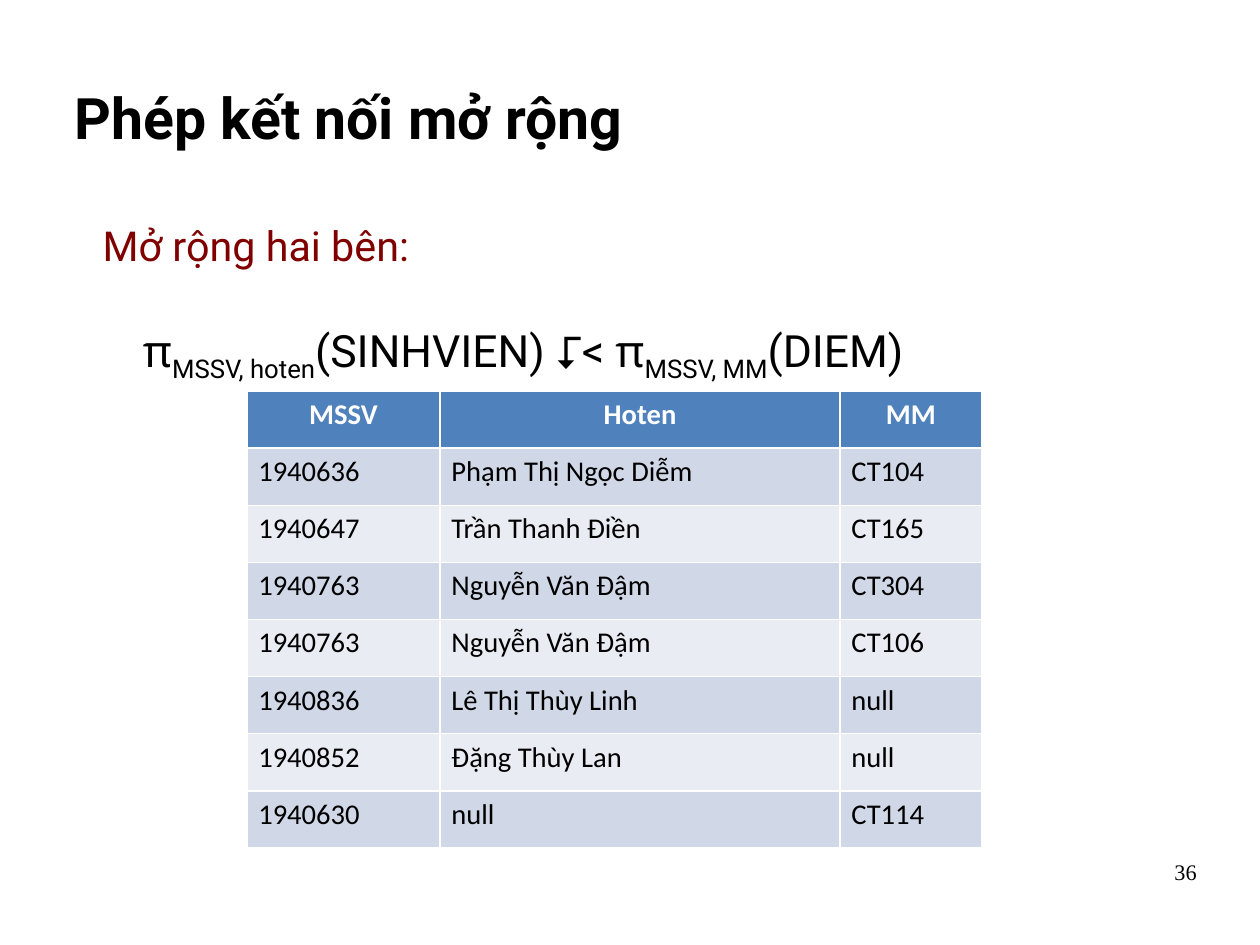
from lxml import etree
from pptx import Presentation
from pptx.dml.color import RGBColor
from pptx.enum.text import MSO_ANCHOR, PP_ALIGN
from pptx.oxml.ns import qn
from pptx.util import Cm, Inches, Pt

LEFT, CENTER, RIGHT = PP_ALIGN.LEFT, PP_ALIGN.CENTER, PP_ALIGN.RIGHT
TOP, MIDDLE = MSO_ANCHOR.TOP, MSO_ANCHOR.MIDDLE

BLACK, WHITE, MAROON = "000000", "FFFFFF", "800000"
HEAD, BANDS = "4F81BD", ("D0D8E7", "E9ECF3")
SIDES = ("a:lnL", "a:lnR", "a:lnT", "a:lnB")
PAD = (0.1, 0.05, 0.1, 0.05)

FORMULA = [
    ("π", "Noto Sans", False),
    ("MSSV, hoten", "Roboto", True),
    ("(SINHVIEN) ", "Roboto", False),
    ("⮦", "Noto Sans", False),
    ("< ", "Roboto", False),
    ("π", "Noto Sans", False),
    ("MSSV, MM", "Roboto", True),
    ("(DIEM)", "Roboto", False),
]
WIDTHS = (1.69, 3.5, 1.24)
ROWS = [
    ("MSSV", "Hoten", "MM"),
    ("1940636", "Phạm Thị Ngọc Diễm", "CT104"),
    ("1940647", "Trần Thanh Điền", "CT165"),
    ("1940763", "Nguyễn Văn Đậm", "CT304"),
    ("1940763", "Nguyễn Văn Đậm", "CT106"),
    ("1940836", "Lê Thị Thùy Linh", "null"),
    ("1940852", "Đặng Thùy Lan", "null"),
    ("1940630", "null", "CT114"),
]


def color(code):
    return RGBColor.from_string(code)


def assign(item, **values):
    for name, value in values.items():
        setattr(item, name, value)


def pad(item, sizes):
    """Set the left, top, right and bottom margins of a frame or cell."""
    for side, size in zip(("left", "top", "right", "bottom"), sizes):
        setattr(item, "margin_" + side, Inches(size))


def add_run(para, text, font, size, code, bold=False, sub=False):
    run = para.add_run()
    run.text = text
    assign(run.font, name=font, size=Pt(size), bold=bold)
    run.font.color.rgb = color(code)
    if sub:
        run.font._element.set("baseline", "-25000")


def add_label(slide, box, runs, size, code, space, align=LEFT, margins=PAD):
    """Add one line of text; each run is (text, font, subscript)."""
    frame = slide.shapes.add_textbox(*map(Inches, box)).text_frame
    assign(frame, word_wrap=True, vertical_anchor=TOP)
    pad(frame, margins)
    para = frame.paragraphs[0]
    assign(para, alignment=align, line_spacing=space)
    for text, font, sub in runs:
        add_run(para, text, font, size, code, sub=sub)


def set_title(slide, box, text):
    title = slide.shapes.title
    for name, size in zip(("left", "top", "width", "height"), box):
        setattr(title, name, Inches(size))
    frame = title.text_frame
    assign(frame, word_wrap=True, vertical_anchor=MIDDLE)
    pad(frame, PAD)
    para = frame.paragraphs[0]
    para.alignment = LEFT
    add_run(para, text, "Roboto", 36, BLACK, bold=True)


def add_borders(cell):
    props = cell._tc.get_or_add_tcPr()
    for spot, side in enumerate(SIDES):
        line = etree.Element(qn(side), w=str(Pt(0.96)))
        fill = etree.SubElement(line, qn("a:solidFill"))
        etree.SubElement(fill, qn("a:srgbClr"), val=WHITE)
        props.insert(spot, line)


def fill_cell(cell, text, row):
    head = row == 0
    cell.fill.solid()
    cell.fill.fore_color.rgb = color(HEAD if head else BANDS[(row - 1) % 2])
    pad(cell, (0.1, 0.09, 0.1, 0.05))
    para = cell.text_frame.paragraphs[0]
    assign(para, alignment=CENTER if head else LEFT, line_spacing=0.83)
    add_run(para, text, "Calibri", 18, WHITE if head else BLACK, bold=head)
    add_borders(cell)


def add_grid(slide, left, top, height):
    box = map(Inches, (left, top, sum(WIDTHS), height * len(ROWS)))
    table = slide.shapes.add_table(len(ROWS), len(WIDTHS), *box).table
    for col, width in zip(table.columns, WIDTHS):
        col.width = Inches(width)
    for row, texts in enumerate(ROWS):
        table.rows[row].height = Inches(height)
        for col, text in enumerate(texts):
            fill_cell(table.cell(row, col), text, row)


def main():
    deck = Presentation()
    deck.slide_width = Cm(28)
    deck.slide_height = Cm(21)
    slide = deck.slides.add_slide(deck.slide_layouts[5])
    set_title(slide, (0.55, 0.33, 9.92, 1.38), "Phép kết nối mở rộng")
    add_label(slide, (0.8, 1.87, 2.94, 0.54),
              [("Mở rộng hai bên:", "Roboto", False)], 26, MAROON, 1.01)
    add_label(slide, (1.25, 2.79, 7.75, 0.63), FORMULA, 28, BLACK, 0.83,
              margins=(0, 0.07, 0, 0))
    add_grid(slide, 2.16, 3.42, 0.5)
    add_label(slide, (7.9, 7.53, 2.57, 0.57),
              [("36", "Times New Roman", False)], 14, BLACK, 0.93,
              align=RIGHT, margins=(0, 0, 0, 0))
    deck.save("out.pptx")


if __name__ == "__main__":
    main()
